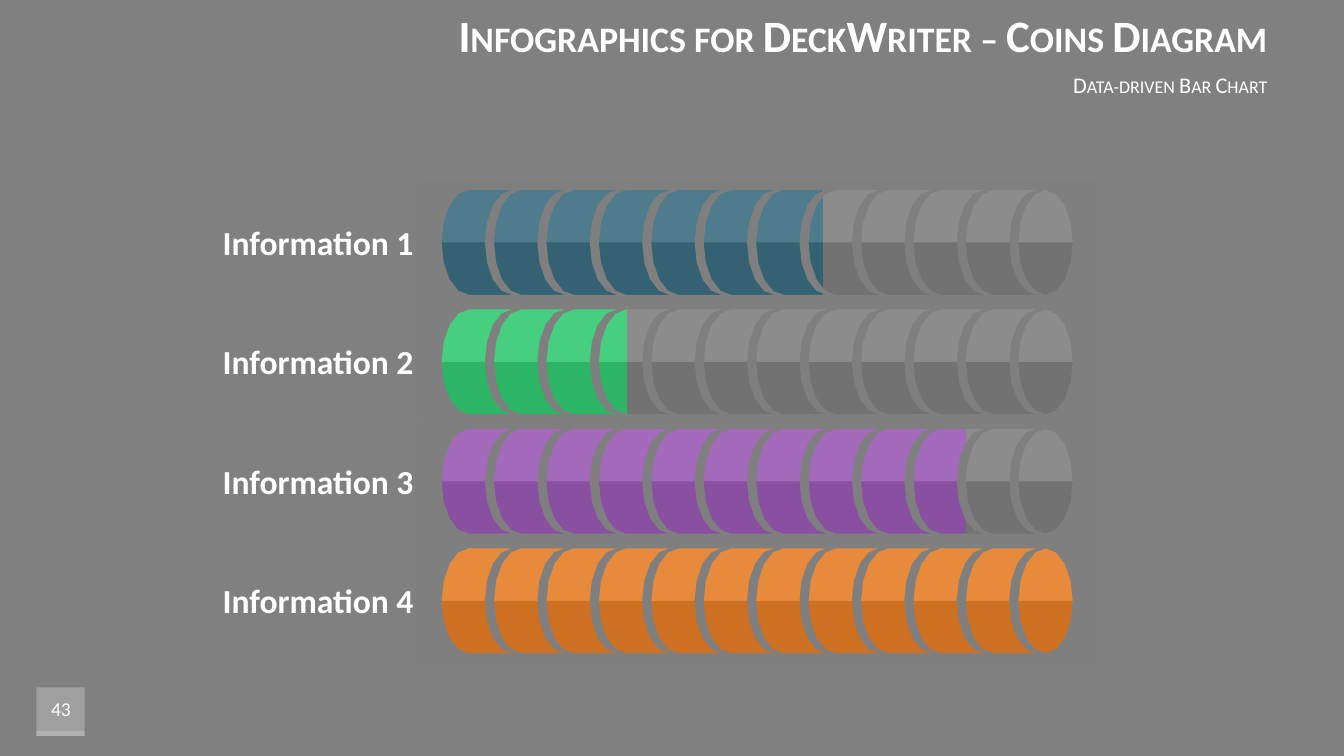
import math
from dataclasses import dataclass

from lxml import etree
from pptx import Presentation
from pptx import util as u
from pptx.chart.data import CategoryChartData
from pptx.dml.color import RGBColor
from pptx.enum import chart as charts, shapes, text
from pptx.oxml import parse_xml
from pptx.oxml.ns import nsdecls, qn


@dataclass(frozen=True)
class Theme:
    font: str = "Calibri"
    background: str = "808080"
    mask: str = "7F7F7F"
    light: str = "FFFFFF"
    dark: str = "000000"
    series: str = "9EB31C"
    title: int = 32
    subtitle: int = 16
    label: int = 24
    number: int = 14
    chart: int = 10


THEME = Theme()
# Rows from top to bottom: label, value, colour
ROWS = [
    ("Information 1", 60, "3C6E7F"),
    ("Information 2", 30, "31CA70"),
    ("Information 3", 82, "9959B4"),
    ("Information 4", 100, "E57D26"),
]
ROW_PITCH = 1.185
COINS, COIN_PITCH = 12, 0.52
COIN_RX, COIN_RY = 0.27, 0.52
COIN_BODY = 0.43


def place(sp, box):
    for name, value in zip(("left", "top", "width", "height"), box):
        setattr(sp, name, u.Inches(value))


def write(sp, words, size, align, small_caps=False, wrap=True, **font):
    tf = sp.text_frame
    frame = {"word_wrap": wrap, "vertical_anchor": text.MSO_ANCHOR.MIDDLE,
             "auto_size": text.MSO_AUTO_SIZE.NONE}
    for name, value in frame.items():
        setattr(tf, name, value)
    p = tf.paragraphs[0]
    p.alignment = align
    p.space_before = u.Pt(0)
    r = p.add_run()
    r.text = words
    for name, value in {"name": THEME.font, "size": u.Pt(size), **font}.items():
        setattr(r.font, name, value)
    r.font.color.rgb = RGBColor.from_string(THEME.light)
    if small_caps:
        r.font._element.set("cap", "small")


def paint(sp, color, alpha=100):
    """Fill a shape without line or shadow; alpha is the opacity in percent."""
    sp.shadow.inherit = False
    sp.line.fill.background()
    sp.fill.solid()
    sp.fill.fore_color.rgb = RGBColor.from_string(color)
    if alpha < 100:
        rgb = sp.fill._xPr.find(qn("a:solidFill"))[0]
        etree.SubElement(rgb, qn("a:alpha")).set("val", str(alpha * 1000))


def add_rect(parent, box, color, alpha):
    sp = parent.add_shape(shapes.MSO_SHAPE.RECTANGLE, 0, 0, 0, 0)
    place(sp, box)
    paint(sp, color, alpha)


def add_text(s, box, words, size, **style):
    sp = s.shapes.add_textbox(0, 0, 0, 0)
    place(sp, box)
    write(sp, words, size, text.PP_ALIGN.CENTER, **style)


def add_headings(s, box):
    left, top, width, height = box
    title, subtitle = s.shapes.title, s.placeholders[1]
    place(title, (left, top, width, 0.68))
    place(subtitle, (left, top + 0.68, width, height - 0.68))
    right = text.PP_ALIGN.RIGHT
    write(title, "Infographics for DeckWriter – Coins Diagram", THEME.title,
          right, small_caps=True, bold=True)
    write(subtitle, "Data-driven Bar Chart", THEME.subtitle, right,
          small_caps=True, bold=False)


def add_page_number(s, box):
    left, top, width, height = box
    add_rect(s.shapes, box, THEME.light, 25)
    add_rect(s.shapes, (left, top + height - 0.05, width, 0.05), THEME.light, 20)
    add_text(s, (left - 0.07, top, width + 0.15, height - 0.05), "43",
             THEME.number)


def add_bars(s, box):
    bars = ROWS[::-1]
    data = CategoryChartData()
    data.categories = [str(i + 1) for i in range(len(bars))]
    data.add_series("Series 1", [value for _, value, _ in bars])
    chart = s.shapes.add_chart(charts.XL_CHART_TYPE.BAR_CLUSTERED,
                               *map(u.Inches, box), data).chart
    chart.has_legend = chart.has_title = False
    chart.font.name, chart.font.size = THEME.font, u.Pt(THEME.chart)
    chart.font.color.rgb = RGBColor.from_string(THEME.dark)
    chart.value_axis.minimum_scale, chart.value_axis.maximum_scale = 0, 100
    for axis in (chart.category_axis, chart.value_axis):
        axis.has_major_gridlines = False
        axis.visible = False

    plot = chart.plots[0]
    plot.gap_width, plot.vary_by_categories = 10, False
    series = plot.series[0]
    series.format.fill.solid()
    series.format.fill.fore_color.rgb = RGBColor.from_string(THEME.series)
    for i, (_, _, color) in enumerate(bars):
        fill = series.points[i].format.fill
        fill.solid()
        fill.fore_color.rgb = RGBColor.from_string(color)

    area = chart._chartSpace.chart.plotArea
    for old in area.findall(qn("c:layout")):
        area.remove(old)
    parts = {"x": 0.02, "y": 0.03, "w": 0.96, "h": 0.94}
    inner = "".join(f'<c:{k} val="{v}"/>' for k, v in parts.items())
    area.insert(0, parse_xml(
        f'<c:layout {nsdecls("c")}><c:manualLayout>'
        '<c:layoutTarget val="inner"/><c:xMode val="edge"/>'
        f'<c:yMode val="edge"/>{inner}</c:manualLayout></c:layout>'))


def arc(cx, cy, start, end, steps=8):
    """Points on a coin's rim, in degrees counterclockwise from the right."""
    angles = [math.radians(start + (end - start) * i / steps)
              for i in range(steps + 1)]
    return [(cx + COIN_RX * math.cos(a), cy - COIN_RY * math.sin(a))
            for a in angles]


def coin_outlines(left, cy):
    for i in range(COINS):
        cx = left + COIN_RX + i * COIN_PITCH
        if i < COINS - 1:
            yield arc(cx, cy, 90, 270) + arc(cx + COIN_BODY, cy, 270, 90)
        else:
            yield arc(cx, cy, 0, 360, 16)


def add_coin_mask(s, box):
    """Shade a row in two halves and cover it except for its coins."""
    left, top, width, height = box
    half = height / 2
    group = s.shapes.add_group_shape().shapes
    for i, color in enumerate((THEME.light, THEME.dark)):
        add_rect(group, (left + 0.03, top + i * half, width - 0.04, half),
                 color, 10)
    right, bottom = left + width, top + height
    frame = [(left, top), (right, top), (right, bottom), (left, bottom)]
    outlines = [frame, *coin_outlines(left + 0.23, top + half)]
    pen = group.build_freeform(u.Inches(left), u.Inches(top))
    for i, outline in enumerate(outlines):
        points = [(u.Inches(x), u.Inches(y)) for x, y in outline]
        if i:
            pen.move_to(*points[0])
        pen.add_line_segments(points[1:], close=True)
    paint(pen.convert_to_shape(), THEME.mask)


def add_coin_chart(s, box):
    left, top, width, height = box
    add_bars(s, box)
    for i, (label, _, _) in enumerate(ROWS):
        add_text(s, (left - 2.05, top + 0.48 + i * ROW_PITCH, 2.11, 0.5), label,
                 THEME.label, wrap=False, bold=True)
    for i in range(len(ROWS)):
        add_coin_mask(s, (left, top + 0.1 + i * ROW_PITCH, width, 1.27))


def main():
    prs = Presentation()
    prs.slide_width, prs.slide_height = u.Inches(13.33), u.Inches(7.5)
    s = prs.slides.add_slide(prs.slide_layouts[0])
    s.background.fill.solid()
    s.background.fill.fore_color.rgb = RGBColor.from_string(THEME.background)
    add_headings(s, (2.26, 0, 10.41, 0.99))
    add_page_number(s, (0.36, 6.82, 0.48, 0.48))
    add_coin_chart(s, (4.15, 1.67, 6.73, 5.04))
    prs.save("out.pptx")


if __name__ == "__main__":
    main()
